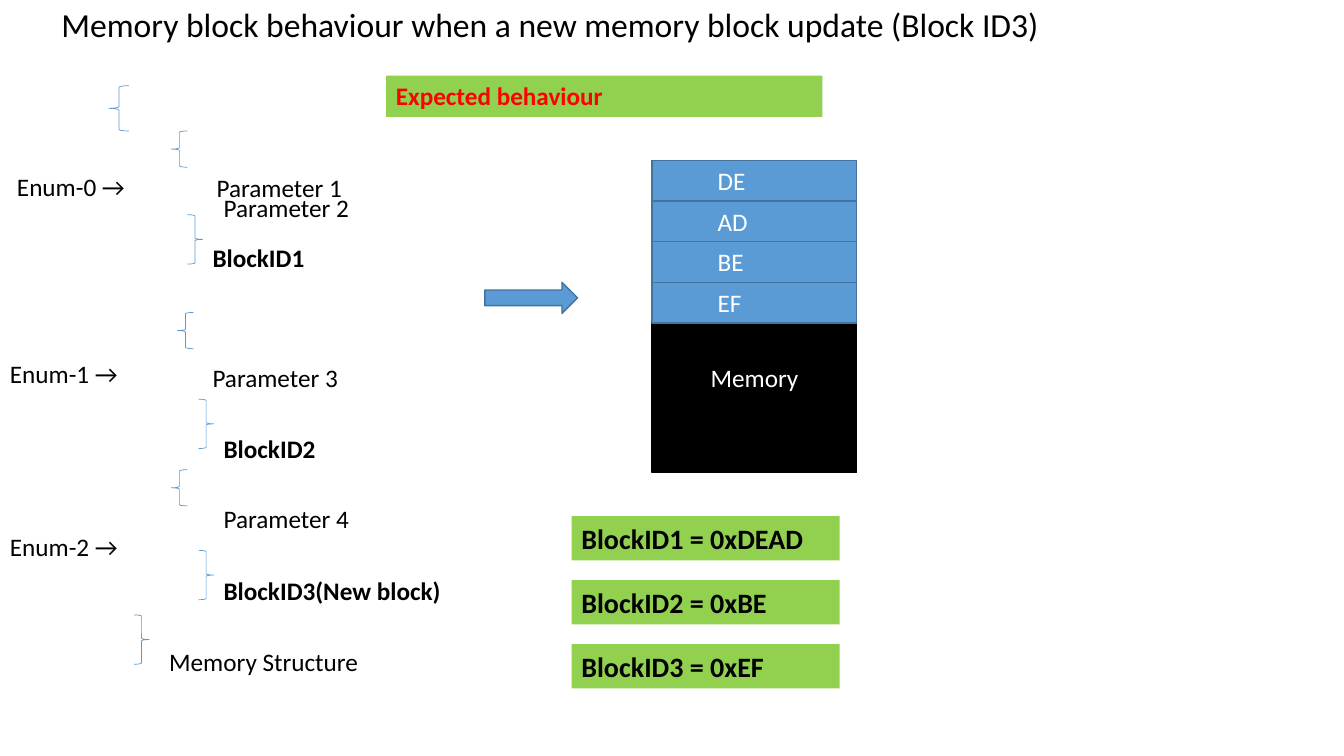
from dataclasses import dataclass
from pptx import Presentation
from pptx.dml.color import RGBColor as RGB
from pptx.enum.shapes import MSO_SHAPE as SHAPE
from pptx.enum.text import MSO_ANCHOR as ANCHOR, PP_ALIGN as ALIGN
from pptx.util import Inches, Pt

# The slide grid: square cells, a tenth of an inch each
CELL = Inches(0.1)
COLS, ROWS = 133.33, 75


@dataclass(frozen=True)
class Theme:
    font: str = "Calibri"
    title: int = 24
    result: int = 20
    body: int = 18
    black: str = "000000"
    white: str = "FFFFFF"
    red: str = "FF0000"
    green: str = "92D050"
    blue: str = "5B9BD5"
    edge: str = "43739E"


@dataclass(frozen=True)
class Box:
    x: float
    y: float
    w: float
    h: float

    def inner(self, x, y, w, h):
        """A box placed relative to this one, in grid cells."""
        return Box(self.x + x, self.y + y, w, h)

    def emu(self):
        return [round(n * CELL) for n in (self.x, self.y, self.w, self.h)]


T = Theme()


def write(sp, text, size=T.body, color=T.black, bold=False,
          align=ALIGN.LEFT, anchor=ANCHOR.TOP, left=1, top=0.5):
    tf = sp.text_frame
    tf.word_wrap = True
    tf.vertical_anchor = anchor
    tf.margin_left, tf.margin_right = round(left * CELL), CELL
    tf.margin_top, tf.margin_bottom = round(top * CELL), round(0.5 * CELL)
    p = tf.paragraphs[0]
    p.alignment = align
    r = p.add_run()
    r.text = text
    r.font.name, r.font.size, r.font.bold = T.font, Pt(size), bold
    r.font.color.rgb = RGB.from_string(color)


def label(s, box, text, **fmt):
    write(s.shapes.add_textbox(*box.emu()), text, **fmt)


def shape(s, kind, box, fill=None, line=None, width=1):
    sp = s.shapes.add_shape(kind, *box.emu())
    sp.shadow.inherit = False
    if fill:
        sp.fill.solid()
        sp.fill.fore_color.rgb = RGB.from_string(fill)
    else:
        sp.fill.background()
    if line:
        sp.line.color.rgb = RGB.from_string(line)
        sp.line.width = Pt(width)
    else:
        sp.line.fill.background()
    return sp


def title(s, box, text):
    sp = s.shapes.title
    sp.left, sp.top, sp.width, sp.height = box.emu()
    write(sp, text, size=T.title)


def structure(s, box):
    """Braces and names of the nested memory structure."""
    # Opening braces: the outer one, then one per enum
    openings = [(10.8, 0, 2, 4.5)] + [
        (x, y, 1.6, 3.6) for x, y in ((17, 4.5), (17.6, 22.5), (17, 38.1))]
    for spot in openings:
        shape(s, SHAPE.LEFT_BRACE, box.inner(*spot), line=T.blue, width=0.5)
    # Closing braces: one per block, then the outer one
    for x, y in ((18.6, 12.8), (19.7, 31.1), (19.7, 46.1), (13.3, 52.5)):
        shape(s, SHAPE.RIGHT_BRACE, box.inner(x, y, 1.5, 4.9),
              line=T.blue, width=0.5)
    # Plain names, then the blocks in bold
    names = [("Enum-0 →", 0.7, 8), ("Enum-1 →", 0, 26.6),
             ("Enum-2 →", 0, 43.7),
             ("Parameter 1", 20.5, 8.1), ("Parameter 2", 21.2, 10.1),
             ("Parameter 3", 20.1, 27), ("Parameter 4", 21.2, 40.9),
             ("Memory Structure", 15.8, 55.1)]
    blocks = [("BlockID1", 20.1, 15), ("BlockID2", 21.2, 34),
              ("BlockID3(New block)", 21.2, 48.1)]
    for group, bold in ((names, False), (blocks, True)):
        for text, x, y in group:
            label(s, box.inner(x, y, 26.9, 4), text, bold=bold)


def memory(s, box, values, row):
    """Memory bar whose first rows hold the written bytes."""
    used = row * len(values)
    bar = shape(s, SHAPE.RECTANGLE, box, fill=T.black, line=T.black)
    # The caption sits in the upper half of the free space
    write(bar, "Memory", color=T.white, align=ALIGN.CENTER,
          anchor=ANCHOR.MIDDLE, top=used - 3.5)
    for i, value in enumerate(values):
        cell = shape(s, SHAPE.RECTANGLE, box.inner(0, i * row, box.w, row),
                     fill=T.blue, line=T.edge)
        write(cell, value, color=T.white, left=6.5)


def banner(s, box, text, **fmt):
    write(shape(s, SHAPE.RECTANGLE, box, fill=T.green), text, bold=True, **fmt)


def results(s, box, texts):
    """Evenly spaced bars with the block values."""
    bar = 4.4
    step = (box.h - bar) / (len(texts) - 1)
    for i, text in enumerate(texts):
        banner(s, box.inner(0, i * step, box.w, bar), text, size=T.result)


def main():
    prs = Presentation()
    prs.slide_width, prs.slide_height = round(COLS * CELL), ROWS * CELL
    s = prs.slides.add_slide(prs.slide_layouts[5])

    title(s, Box(5.1, -0.1, 123.4, 8.1),
          "Memory block behaviour when a new memory block update (Block ID3)")
    structure(s, Box(0, 8.5, 48.1, 59.1))
    banner(s, Box(38.3, 7.5, 43.3, 4.1), "Expected behaviour", color=T.red)
    shape(s, SHAPE.RIGHT_ARROW, Box(48.1, 28, 9.2, 3.1),
          fill=T.blue, line=T.edge)
    memory(s, Box(64.7, 15.9, 20.3, 31), ("DE", "AD", "BE", "EF"), row=4.04)
    results(s, Box(56.7, 51.2, 26.6, 17.1),
            ("BlockID1 = 0xDEAD", "BlockID2 = 0xBE", "BlockID3 = 0xEF"))

    prs.save("out.pptx")


if __name__ == "__main__":
    main()
